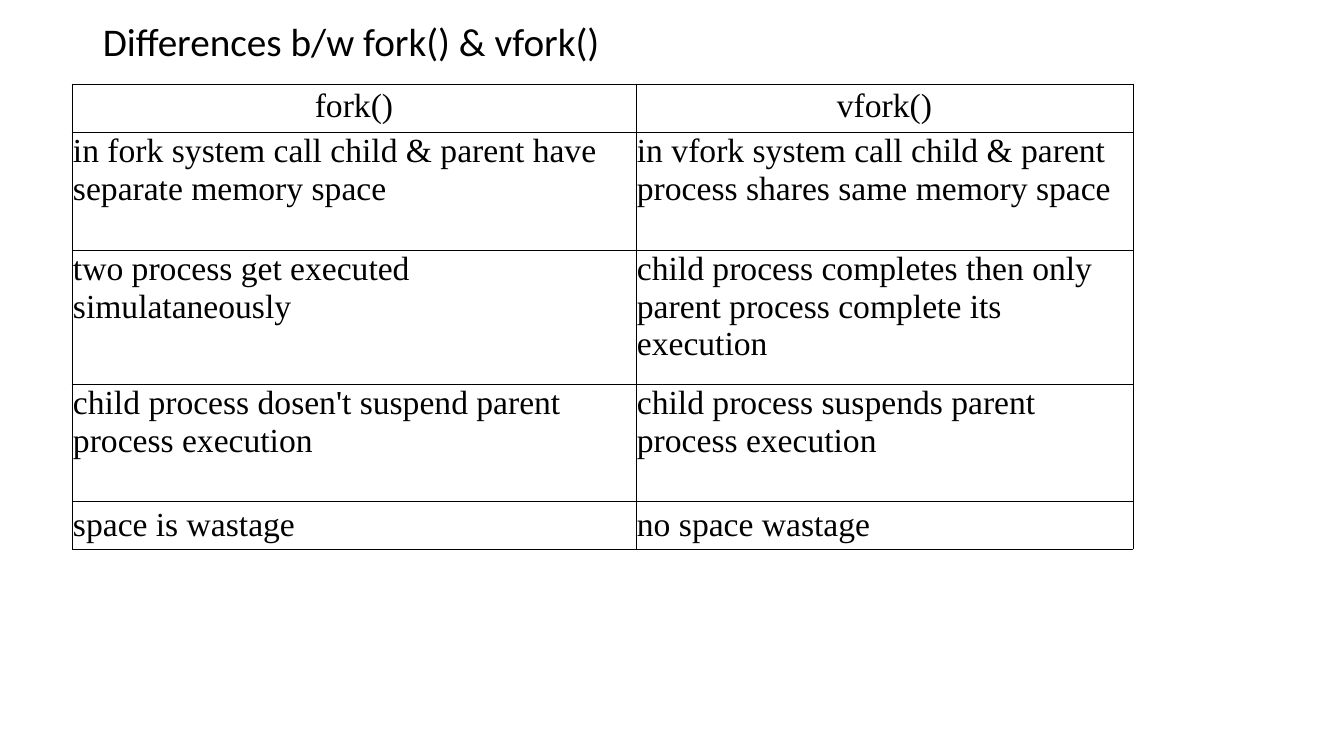
import pptx
import pptx.dml.color
import pptx.enum.text
import pptx.oxml.ns
import pptx.util
from lxml import etree

SCALE = 914400 / 100.8
INK = "000000"
ALIGN = pptx.enum.text.PP_ALIGN
ANCHOR = pptx.enum.text.MSO_ANCHOR
ROWS = [
    ("fork()", "vfork()"),
    ("in fork system call child & parent have separate memory space",
     "in vfork system call child & parent process shares same memory space"),
    ("two process get executed simulataneously",
     "child process completes then only parent process complete its execution"),
    ("child process dosen't suspend parent process execution",
     "child process suspends parent process execution"),
    ("space is wastage", "no space wastage"),
]
WIDTHS = [564, 497]
HEIGHTS = [48, 118, 134, 117, 48]


def px(n):
    return pptx.util.Emu(round(n * SCALE))


def color(code):
    return pptx.dml.color.RGBColor.from_string(code)


def assign(target, values):
    for key, value in values.items():
        setattr(target, key, value)


def write(frame, text, size, face, **form):
    para = frame.paragraphs[0]
    assign(para, form)
    run = para.add_run()
    run.text = text
    assign(run.font, {"size": pptx.util.Pt(size), "name": face, "bold": False})
    run.font.color.rgb = color(INK)


def border(cell):
    qn = pptx.oxml.ns.qn
    props = cell._tc.get_or_add_tcPr()
    # Edge lines come before the cell fill
    for spot, side in enumerate(("lnL", "lnR", "lnT", "lnB")):
        line = etree.Element(qn(f"a:{side}"), w=str(pptx.util.Pt(0.5)))
        fill = etree.SubElement(line, qn("a:solidFill"))
        etree.SubElement(fill, qn("a:srgbClr"), val=INK)
        props.insert(spot, line)


def title(slide, x, y, w, h):
    frame = slide.shapes.add_textbox(px(x), px(y), px(w), px(h)).text_frame
    frame.word_wrap = True
    write(frame, "Differences b/w fork() & vfork()", 28, "Calibri", line_spacing=0.9)


def grid(slide, x, y):
    table = slide.shapes.add_table(
        len(ROWS), len(WIDTHS), px(x), px(y), px(sum(WIDTHS)), px(sum(HEIGHTS))).table
    assign(table, {"first_row": False, "horz_banding": False})
    for col, width in zip(table.columns, WIDTHS):
        col.width = px(width)
    for row, height in zip(table.rows, HEIGHTS):
        row.height = px(height)

    # Header is centred, the last row sits at the bottom
    anchors = {0: ANCHOR.MIDDLE, len(ROWS) - 1: ANCHOR.BOTTOM}
    for r, texts in enumerate(ROWS):
        for c, text in enumerate(texts):
            cell = table.cell(r, c)
            assign(cell, {
                "margin_left": px(1), "margin_right": px(1),
                "margin_top": px(1), "margin_bottom": px(5),
                "vertical_anchor": anchors.get(r, ANCHOR.TOP),
            })
            cell.fill.background()
            border(cell)
            write(cell.text_frame, text, 24, "Times New Roman",
                  alignment=ALIGN.LEFT if r else ALIGN.CENTER)


def main():
    deck = pptx.Presentation()
    assign(deck, {"slide_width": px(1344), "slide_height": px(756)})
    slide = deck.slides.add_slide(deck.slide_layouts[6])
    title(slide, 93, 18, 1159, 60)
    grid(slide, 72, 84)
    deck.save("out.pptx")


if __name__ == "__main__":
    main()
